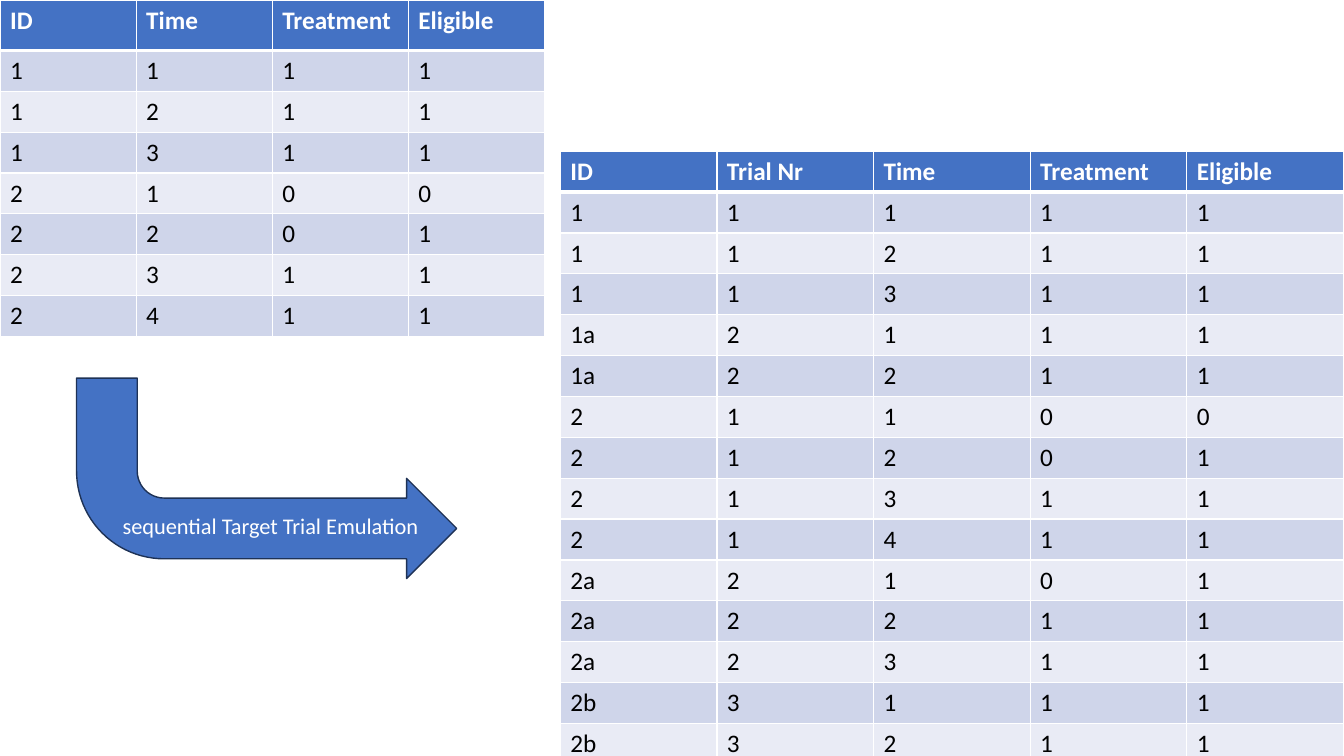
from lxml import etree
from pptx import Presentation
from pptx.dml.color import RGBColor
from pptx.enum.shapes import MSO_SHAPE
from pptx.enum.text import MSO_AUTO_SIZE
from pptx.oxml.ns import qn
from pptx.util import Cm, Pt

BENT_ARROW = MSO_SHAPE.BENT_ARROW
FIT_SHAPE = MSO_AUTO_SIZE.SHAPE_TO_FIT_TEXT

BLUE = RGBColor(0x44, 0x72, 0xC4)
NAVY = RGBColor(0x1E, 0x32, 0x56)
BAND_DARK = RGBColor(0xCF, 0xD5, 0xEA)
BAND_LIGHT = RGBColor(0xE9, 0xEB, 0xF5)
WHITE = RGBColor(0xFF, 0xFF, 0xFF)
BLACK = RGBColor(0x00, 0x00, 0x00)

PATIENT_HEADER = ["ID", "Time", "Treatment", "Eligible"]
PATIENT_ROWS = ["1 1 1 1", "1 2 1 1", "1 3 1 1", "2 1 0 0",
                "2 2 0 1", "2 3 1 1", "2 4 1 1"]
TRIAL_HEADER = ["ID", "Trial Nr", "Time", "Treatment", "Eligible"]
TRIAL_ROWS = ["1 1 1 1 1", "1 1 2 1 1", "1 1 3 1 1", "1a 2 1 1 1",
              "1a 2 2 1 1", "2 1 1 0 0", "2 1 2 0 1", "2 1 3 1 1",
              "2 1 4 1 1", "2a 2 1 0 1", "2a 2 2 1 1", "2a 2 3 1 1",
              "2b 3 1 1 1", "2b 3 2 1 1"]


class SlideBuilder:
    font = "Calibri"
    header_format = {"size": Pt(18), "bold": True, "color": WHITE}
    body_format = {"size": Pt(18), "bold": False, "color": BLACK}
    label_format = {"size": Pt(16), "color": WHITE}

    def __init__(self, slide):
        self.s = slide

    def add_text(self, tf, text, fmt):
        r = tf.paragraphs[0].add_run()
        r.text = text
        r.font.name = self.font
        for name, value in fmt.items():
            if name == "color":
                r.font.color.rgb = value
            else:
                setattr(r.font, name, value)

    def borders(self, cell, top, bottom):
        """Draw white cell borders; top and bottom are widths in points."""
        tcPr = cell._tc.get_or_add_tcPr()
        for side, width in (("L", 1), ("R", 1), ("T", top), ("B", bottom)):
            ln = etree.SubElement(tcPr, qn(f"a:ln{side}"), w=str(Pt(width)))
            fill = etree.SubElement(ln, qn("a:solidFill"))
            etree.SubElement(fill, qn("a:srgbClr"), val=str(WHITE))

    def table(self, header, rows, box, header_height, row_height):
        data = [header] + [row.split() for row in rows]
        frame = self.s.shapes.add_table(len(data), len(header), *map(Cm, box))
        table = frame.table
        for i, values in enumerate(data):
            table.rows[i].height = Cm(row_height if i else header_height)
            fill = (BAND_DARK if i % 2 else BAND_LIGHT) if i else BLUE
            fmt = self.body_format if i else self.header_format
            for j, text in enumerate(values):
                cell = table.cell(i, j)
                self.borders(cell, top=3 if i == 1 else 1,
                             bottom=1 if i else 3)
                cell.fill.solid()
                cell.fill.fore_color.rgb = fill
                self.add_text(cell.text_frame, text, fmt)
        frame.height = Cm(box[3])

    def bent_arrow(self, box, adjustments):
        """Add a bent arrow that runs down and then to the right."""
        sp = self.s.shapes.add_shape(BENT_ARROW, *map(Cm, box))
        sp.shadow.inherit = False
        sp._element.spPr.xfrm.set("flipV", "1")
        for i, value in enumerate(adjustments):
            sp.adjustments[i] = value
        sp.fill.solid()
        sp.fill.fore_color.rgb = BLUE
        sp.line.color.rgb = NAVY
        sp.line.width = Pt(1)

    def label(self, text, box):
        tf = self.s.shapes.add_textbox(*map(Cm, box)).text_frame
        tf.word_wrap = False
        tf.auto_size = FIT_SHAPE
        self.add_text(tf, text, self.label_format)


def main():
    prs = Presentation()
    prs.slide_width, prs.slide_height = Cm(33.87), Cm(19.05)
    builder = SlideBuilder(prs.slides.add_slide(prs.slide_layouts[6]))
    builder.table(PATIENT_HEADER, PATIENT_ROWS, (0, 0, 13.72, 8.38),
                  header_height=1.27, row_height=0.74)
    builder.table(TRIAL_HEADER, TRIAL_ROWS, (14.12, 3.81, 19.74, 15.24),
                  header_height=0.38, row_height=0.38)
    builder.bent_arrow((1.93, 9.53, 9.58, 5.05), (0.303, 0.25, 0.25, 0.438))
    builder.label("sequential Target Trial Emulation",
                  (2.84, 12.78, 8.03, 0.94))
    prs.save("out.pptx")


if __name__ == "__main__":
    main()
